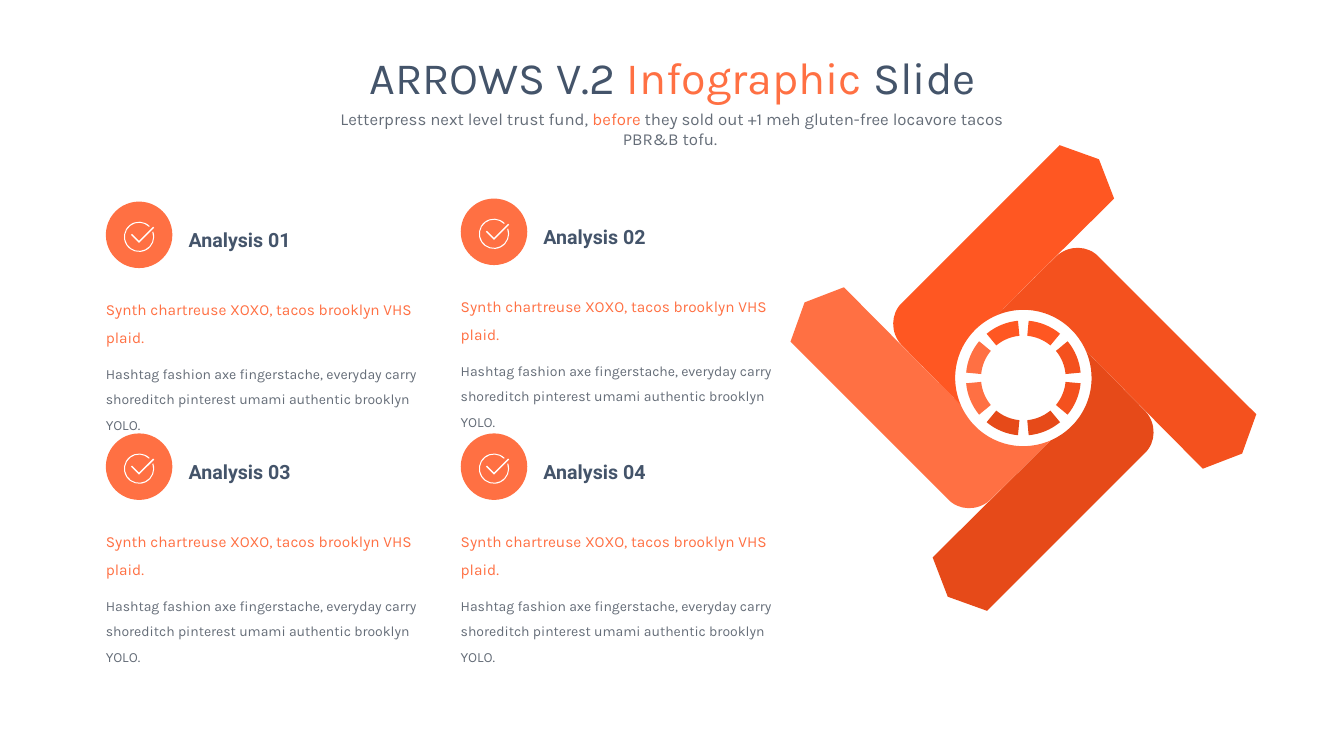
import math

import lxml.etree
import pptx
import pptx.dml.color
import pptx.enum.shapes
import pptx.enum.text
import pptx.oxml.ns
import pptx.util

Inches = pptx.util.Inches
Pt = pptx.util.Pt
RGBColor = pptx.dml.color.RGBColor
Align = pptx.enum.text.PP_ALIGN
Anchor = pptx.enum.text.MSO_ANCHOR
qn = pptx.oxml.ns.qn

SLATE = RGBColor(0x44, 0x54, 0x6A)
GREY = RGBColor(0x65, 0x6D, 0x78)
WHITE = RGBColor(0xFF, 0xFF, 0xFF)
CORAL = RGBColor(0xFF, 0x70, 0x43)
BRIGHT_ORANGE = RGBColor(0xFF, 0x57, 0x22)
ORANGE = RGBColor(0xF4, 0x51, 0x1E)
RUST = RGBColor(0xE6, 0x4A, 0x19)

TITLE = [("ARROWS V.2 ", SLATE), ("Infographic ", CORAL), ("Slide", SLATE)]
SUBTITLE = [
    ("Letterpress next level trust fund, ", GREY),
    ("before", CORAL),
    (" they sold out +1 meh gluten-free locavore tacos PBR&B tofu. ", GREY),
]
LEAD = "Synth chartreuse XOXO, tacos brooklyn VHS plaid."
DETAIL = ("Hashtag fashion axe fingerstache, everyday carry shoreditch "
          "pinterest umami authentic brooklyn YOLO.")
ANALYSES = [  # heading, left, top
    ("Analysis 01", 1.05, 2.0),
    ("Analysis 02", 4.57, 1.97),
    ("Analysis 03", 1.05, 4.3),
    ("Analysis 04", 4.57, 4.3),
]
BADGE_SIZE = 0.66

# Clockwise from the top arrow
ARROW_COLOURS = [BRIGHT_ORANGE, ORANGE, RUST, CORAL]
WHEEL_CENTRE = (10.15, 3.75)
# An outline is a list of segments: one point is a line, three are a curve.
# The top arrow is measured from the wheel centre.
ARROW = [
    [(0.36, -2.31)], [(0.75, -2.17)], [(0.9, -1.78)], [(-0.27, -0.62)],
    [(-0.61, -0.47), (-0.77, -0.08), (-0.62, 0.27)], [(-1.21, -0.33)],
    [(-1.32, -0.45), (-1.32, -0.64), (-1.2, -0.75)],
]
TICK = [[(-0.08, -0.02)], [(-0.07, -0.03)], [(0, 0.04)],
        [(0.14, -0.1)], [(0.15, -0.09)], [(0, 0.06)]]


def arc(radius, start, end):
    """Curves along a circle; angles in degrees clockwise from the top."""
    count = math.ceil(abs(end - start) / 90)
    turn = math.radians((end - start) / count)
    reach = 4 / 3 * math.tan(turn / 4)
    curves = []
    for number in range(count):
        first = math.radians(start) + number * turn
        last = first + turn
        sin_1, cos_1, sin_2, cos_2 = (math.sin(first), math.cos(first),
                                      math.sin(last), math.cos(last))
        unit = [(sin_1 + reach * cos_1, -cos_1 + reach * sin_1),
                (sin_2 - reach * cos_2, -cos_2 - reach * sin_2),
                (sin_2, -cos_2)]
        curves.append([(radius * x, radius * y) for x, y in unit])
    return curves


def ring_sector(inner, outer, start, end):
    def at(radius, angle):
        return [(radius * math.sin(math.radians(angle)),
                 -radius * math.cos(math.radians(angle)))]
    return ([at(outer, start)] + arc(outer, start, end)
            + [at(inner, end)] + arc(inner, end, start))


def quarter_turns(outline, count):
    for _ in range(count):
        outline = [[(-y, x) for x, y in segment] for segment in outline]
    return outline


def paint(shape, colour):
    shape.shadow.inherit = False
    shape.fill.solid()
    shape.fill.fore_color.rgb = colour
    shape.line.fill.background()


def bend_curves(shape, segments):
    """Turn each run of three lines that stands for a curve into one."""
    lines = iter(list(shape.element.iter(qn("a:lnTo"))))
    for segment in segments:
        nodes = [next(lines) for _ in segment]
        if len(nodes) == 3:
            curve = lxml.etree.Element(qn("a:cubicBezTo"))
            nodes[0].addprevious(curve)
            for node in nodes:
                curve.append(node[0])
                node.getparent().remove(node)


def add_outline(group, centre, outlines, colour):
    def place(point):
        return Inches(centre[0] + point[0]), Inches(centre[1] + point[1])

    builder = group.shapes.build_freeform(*place(outlines[0][0][0]))
    for number, outline in enumerate(outlines):
        if number:
            builder.move_to(*place(outline[0][0]))
        builder.add_line_segments(
            [place(point) for segment in outline[1:] for point in segment])
    shape = builder.convert_to_shape()
    bend_curves(shape, [segment for outline in outlines for segment in outline[1:]])
    paint(shape, colour)


def style(span, size, colour, font="Karla", bold=False):
    span.font.name = font
    span.font.size = Pt(size)
    span.font.bold = bold
    span.font.color.rgb = colour


def fill_placeholder(box, bounds, pieces, size):
    box.left, box.top, box.width, box.height = map(Inches, bounds)
    frame = box.text_frame
    frame.word_wrap = True
    frame.auto_size = pptx.enum.text.MSO_AUTO_SIZE.NONE
    frame.vertical_anchor = Anchor.TOP
    para = frame.paragraphs[0]
    para.alignment = Align.CENTER
    para.line_spacing = 1.0
    para.space_before = Pt(0)
    for words, colour in pieces:
        span = para.add_run()
        span.text = words
        style(span, size, colour)


def add_text(group, bounds, lines, spacing, **look):
    frame = group.shapes.add_textbox(*map(Inches, bounds)).text_frame
    frame.word_wrap = True
    frame.margin_left = frame.margin_right = frame.margin_top = frame.margin_bottom = 0
    for number, (words, size, colour) in enumerate(lines):
        para = frame.add_paragraph() if number else frame.paragraphs[0]
        para.text = words
        para.line_spacing = spacing
        para.space_before = Pt(7.5 if number else 0)
        style(para.runs[0], size, colour, **look)
    return frame


def add_wheel(page):
    wheel = page.shapes.add_group_shape()
    # Right, bottom, left, then top
    for turn in (1, 2, 3, 0):
        add_outline(wheel, WHEEL_CENTRE, [quarter_turns(ARROW, turn)], ARROW_COLOURS[turn])
    for number in range(8):
        sector = ring_sector(0.42, 0.57, 45 * number + 5.3, 45 * number + 39.7)
        colour = ARROW_COLOURS[(number + 1) // 2 % 4]
        add_outline(wheel, WHEEL_CENTRE, [sector], colour)


def add_analysis(page, heading, left, top):
    group = page.shapes.add_group_shape()
    badge = group.shapes.add_shape(
        pptx.enum.shapes.MSO_SHAPE.ROUNDED_RECTANGLE,
        *map(Inches, (left, top, BADGE_SIZE, BADGE_SIZE)))
    badge.adjustments[0] = 0.5
    paint(badge, CORAL)
    title = add_text(group, (left + 0.82, top + 0.2, 1.93, 0.28),
                     [(heading, 14, SLATE)], 1.3, font="Roboto", bold=True)
    title.vertical_anchor = Anchor.MIDDLE
    add_text(group, (left, top + 0.89, 3.1, 0.87),
             [(LEAD, 11, CORAL), (DETAIL, 10, GREY)], 1.5)
    icon_centre = (left + BADGE_SIZE / 2, top + 0.35)
    add_outline(group, icon_centre, [ring_sector(0.14, 0.15, 70, 405), TICK], WHITE)


def main():
    deck = pptx.Presentation()
    deck.slide_width, deck.slide_height = Inches(13.33), Inches(7.5)
    page = deck.slides.add_slide(deck.slide_layouts[0])
    fill_placeholder(page.shapes.title, (2.54, 0.44, 8.26, 0.64), TITLE, 32)
    fill_placeholder(page.placeholders[1], (3.19, 1.03, 6.95, 0.3), SUBTITLE, 12)
    add_wheel(page)
    for analysis in ANALYSES:
        add_analysis(page, *analysis)
    deck.save("out.pptx")


if __name__ == "__main__":
    main()
